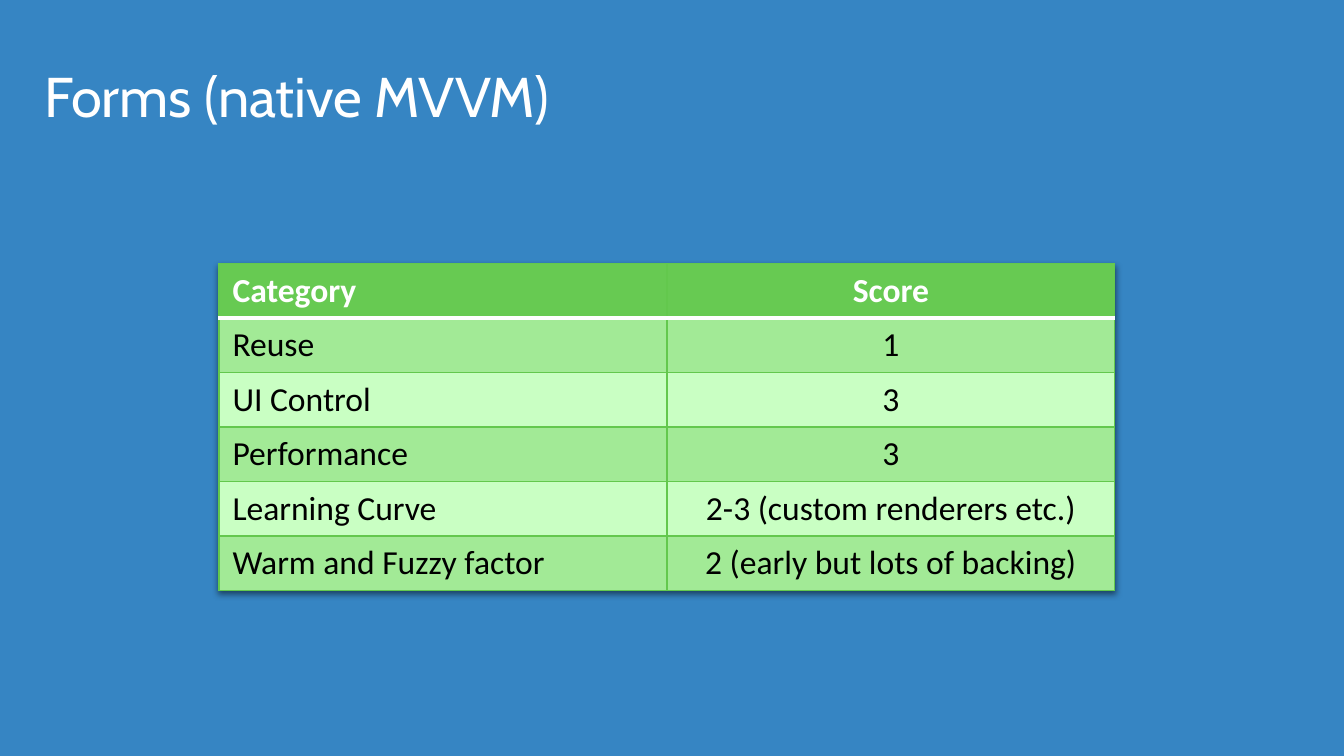
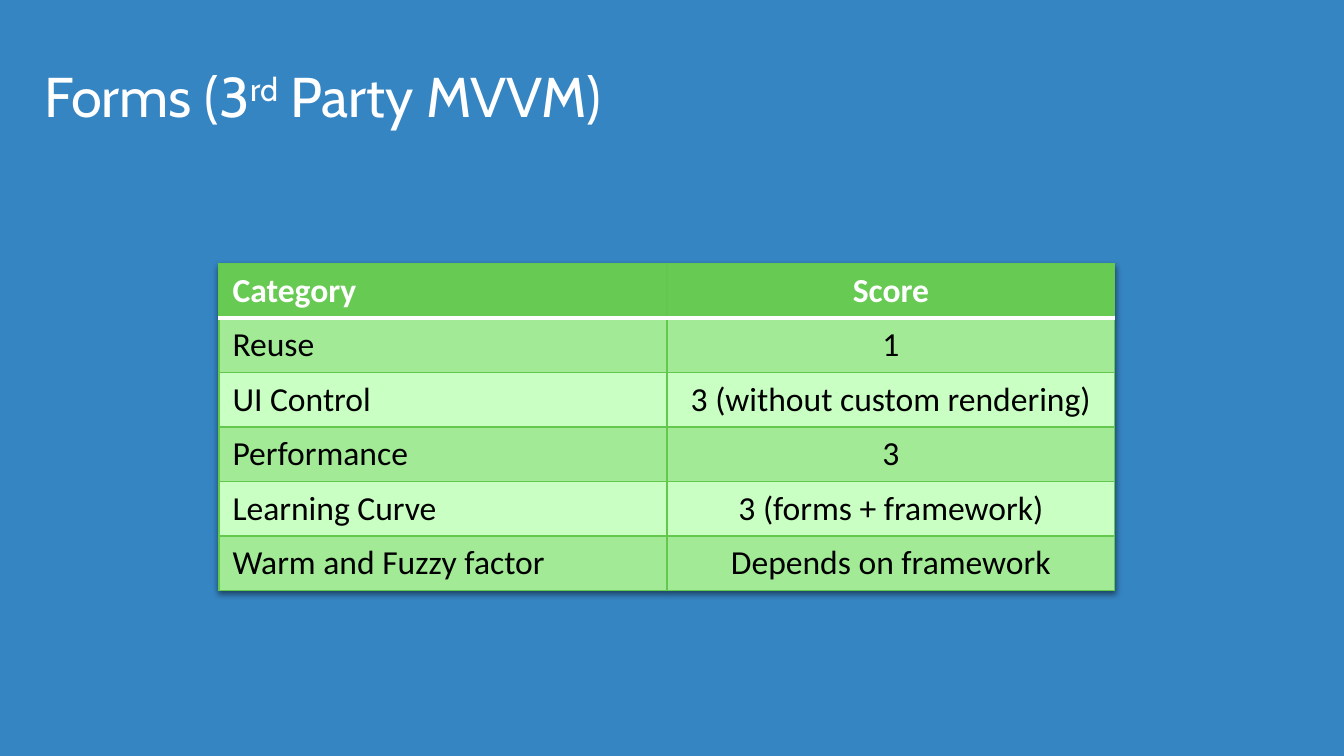
from lxml.etree import SubElement
from pptx import Presentation
from pptx.dml.color import RGBColor
from pptx.enum.text import MSO_ANCHOR, PP_ALIGN
from pptx.oxml import parse_xml
from pptx.oxml.ns import nsdecls, qn
from pptx.util import Cm, Pt

BACKGROUND = "3685C3"
WHITE = "FFFFFF"
BLACK = "000000"
HEADER_GREEN = "67CA52"
BAND_GREENS = ("A2EA96", "C9FFC3")
BORDER_GREEN = "63C84D"

# Left, top, width, height in centimetres
TITLE_BOX = (0.71, 0, 21.87, 3.61)
SCORES_BOX = (4.14, 4.98, 16.93, 6.18)

CATEGORIES = ["Reuse", "UI Control", "Performance", "Learning Curve",
              "Warm and Fuzzy factor"]
SLIDES = [
    (["Forms (native MVVM)"],
     ["1", "3", "3", "2-3 (custom renderers etc.)",
      "2 (early but lots of backing)"]),
    (["Forms (3", "rd", " Party MVVM)"],
     ["1", "3 (without custom rendering)", "3", "3 (forms + framework)",
      "Depends on framework"]),
]


def color(hex_code):
    return RGBColor.from_string(hex_code)


def add_text(paragraph, text, font="Calibri", size=18, fill=BLACK, bold=False,
             align=PP_ALIGN.LEFT, raised=False):
    paragraph.alignment = align
    run = paragraph.add_run()
    run.text = text
    run.font.name = font
    run.font.size = Pt(size)
    run.font.bold = bold
    run.font.color.rgb = color(fill)
    if raised:
        run._r.get_or_add_rPr().set("baseline", "30000")


def set_borders(cell, top, bottom):
    """Draw the four cell edges; top and bottom are (colour, points)."""
    side = (BORDER_GREEN, 0.75)
    edges = {"lnL": side, "lnR": side, "lnT": top, "lnB": bottom}
    properties = cell._tc.get_or_add_tcPr()
    for position, (edge, (hex_code, points)) in enumerate(edges.items()):
        line = SubElement(properties, qn(f"a:{edge}"), w=str(Pt(points)))
        solid = SubElement(line, qn("a:solidFill"))
        SubElement(solid, qn("a:srgbClr"), val=hex_code)
        properties.insert(position, line)


def add_shadow(table):
    table._tbl.tblPr.insert(0, parse_xml(
        f'<a:effectLst {nsdecls("a")}>'
        '<a:outerShdw blurRad="40000" dist="23000" dir="5400000" rotWithShape="0">'
        '<a:srgbClr val="000000"><a:alpha val="50000"/></a:srgbClr>'
        '</a:outerShdw></a:effectLst>'))


def add_title(slide, box, parts):
    frame = slide.shapes.add_textbox(*map(Cm, box)).text_frame
    frame.word_wrap = True
    frame.vertical_anchor = MSO_ANCHOR.MIDDLE
    frame.margin_left = frame.margin_right = Cm(0.13)
    frame.margin_top = frame.margin_bottom = Cm(0.13)
    # Every second part is the raised ordinal ending
    for index, part in enumerate(parts):
        add_text(frame.paragraphs[0], part, font="Cabin", size=30, fill=WHITE,
                 raised=index % 2 == 1)


def add_scores(slide, box, scores):
    rows = [("Category", "Score"), *zip(CATEGORIES, scores)]
    left, top, width, height = box
    table = slide.shapes.add_table(len(rows), 2, Cm(left), Cm(top),
                                   Cm(width), Cm(height)).table
    add_shadow(table)
    for column in table.columns:
        column.width = Cm(width / 2)
    thin, header_rule = (BORDER_GREEN, 0.75), (WHITE, 2)
    for r, row in enumerate(rows):
        table.rows[r].height = Cm(height / len(rows))
        is_header = r == 0
        for c, text in enumerate(row):
            cell = table.cell(r, c)
            cell.fill.solid()
            cell.fill.fore_color.rgb = color(
                HEADER_GREEN if is_header else BAND_GREENS[(r - 1) % 2])
            set_borders(cell, header_rule if r == 1 else thin,
                        header_rule if is_header else thin)
            add_text(cell.text_frame.paragraphs[0], text, bold=is_header,
                     fill=WHITE if is_header else BLACK,
                     align=PP_ALIGN.CENTER if c else PP_ALIGN.LEFT)


def add_score_slide(deck, title_parts, scores):
    slide = deck.slides.add_slide(deck.slide_layouts[6])
    slide.background.fill.solid()
    slide.background.fill.fore_color.rgb = color(BACKGROUND)
    add_title(slide, TITLE_BOX, title_parts)
    add_scores(slide, SCORES_BOX, scores)


def main():
    deck = Presentation()
    deck.slide_width, deck.slide_height = Cm(25.4), Cm(14.29)
    for title_parts, scores in SLIDES:
        add_score_slide(deck, title_parts, scores)
    deck.save("out.pptx")


if __name__ == "__main__":
    main()
